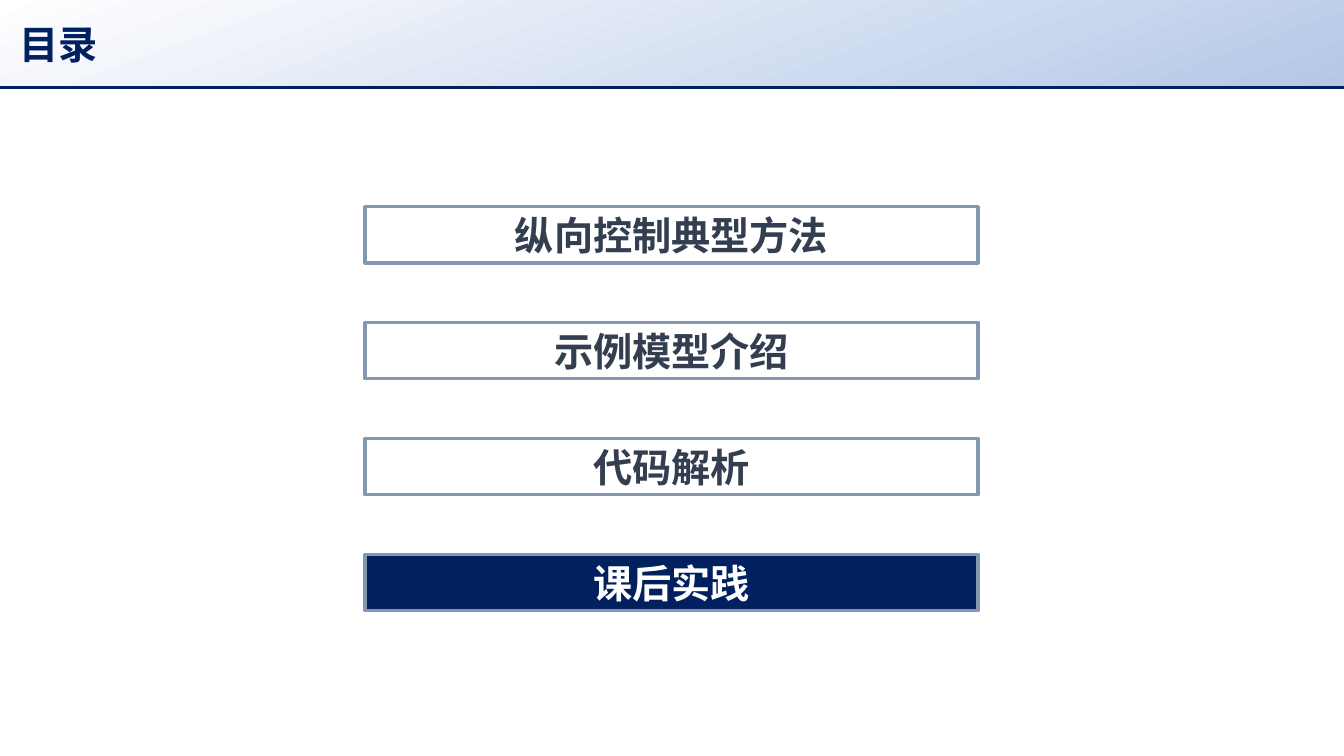
from lxml import etree
from pptx import Presentation
from pptx.dml.color import RGBColor
from pptx.enum.shapes import MSO_CONNECTOR, MSO_SHAPE
from pptx.enum.text import MSO_ANCHOR, PP_ALIGN
from pptx.oxml.ns import qn
from pptx.util import Inches, Pt

RECTANGLE = MSO_SHAPE.RECTANGLE
STRAIGHT = MSO_CONNECTOR.STRAIGHT
MIDDLE = MSO_ANCHOR.MIDDLE
LEFT, CENTER = PP_ALIGN.LEFT, PP_ALIGN.CENTER

NAVY = RGBColor(0x00, 0x20, 0x60)
SLATE = RGBColor(0x33, 0x3F, 0x50)
BORDER = RGBColor(0x84, 0x97, 0xB0)
PALE_BLUE = RGBColor(0xB4, 0xC7, 0xE7)
WHITE = RGBColor(0xFF, 0xFF, 0xFF)

FONT = "Noto Sans CJK SC"
LINE_WIDTH = Pt(2.25)

presentation = Presentation()
presentation.slide_width = Inches(13.33)
presentation.slide_height = Inches(7.5)
slide = presentation.slides.add_slide(presentation.slide_layouts[6])


def add_box(left, top, width, height):
    shape = slide.shapes.add_shape(RECTANGLE, left, top, width, height)
    shape.shadow.inherit = False
    return shape


def write_text(shape, text, color, alignment, side_margin):
    frame = shape.text_frame
    frame_format = {
        "vertical_anchor": MIDDLE,
        "margin_left": side_margin,
        "margin_right": side_margin,
        "margin_top": Inches(0.04),
        "margin_bottom": Inches(0.04),
    }
    for name, value in frame_format.items():
        setattr(frame, name, value)
    paragraph = frame.paragraphs[0]
    paragraph.alignment = alignment
    run = paragraph.add_run()
    run.text = text
    for name, value in {"name": FONT, "size": Pt(28), "bold": True}.items():
        setattr(run.font, name, value)
    run.font.color.rgb = color
    east_asian = etree.SubElement(run.font._element, qn("a:ea"))
    east_asian.set("typeface", FONT)


# Header band with its rule
header_height = Inches(0.87)
header = add_box(0, 0, presentation.slide_width, header_height)
header.line.fill.background()
header.fill.gradient()
header.fill.gradient_angle = 360 - 70
for stop, color in zip(header.fill.gradient_stops, (WHITE, PALE_BLUE)):
    stop.color.rgb = color
write_text(header, "目录", NAVY, LEFT, Inches(0.19))

rule = slide.shapes.add_connector(
    STRAIGHT, 0, header_height, presentation.slide_width, header_height
)
rule.line.color.rgb = NAVY
rule.line.width = LINE_WIDTH
etree.SubElement(rule._element.spPr, qn("a:effectLst"))

# Agenda: evenly spaced entries, the current one highlighted
ENTRIES = ["纵向控制典型方法", "示例模型介绍", "代码解析", "课后实践"]
CURRENT = "课后实践"
entry_left, first_top = Inches(3.62), Inches(2.05)
entry_width, entry_height = Inches(6.08), Inches(0.56)
entry_pitch = Inches(1.15)

for row, entry in enumerate(ENTRIES):
    fill_color, text_color = (NAVY, WHITE) if entry == CURRENT else (WHITE, SLATE)
    box = add_box(entry_left, first_top + row * entry_pitch, entry_width, entry_height)
    box.fill.solid()
    box.fill.fore_color.rgb = fill_color
    box.line.color.rgb = BORDER
    box.line.width = LINE_WIDTH
    write_text(box, entry, text_color, CENTER, Inches(0.09))

presentation.save("out.pptx")
